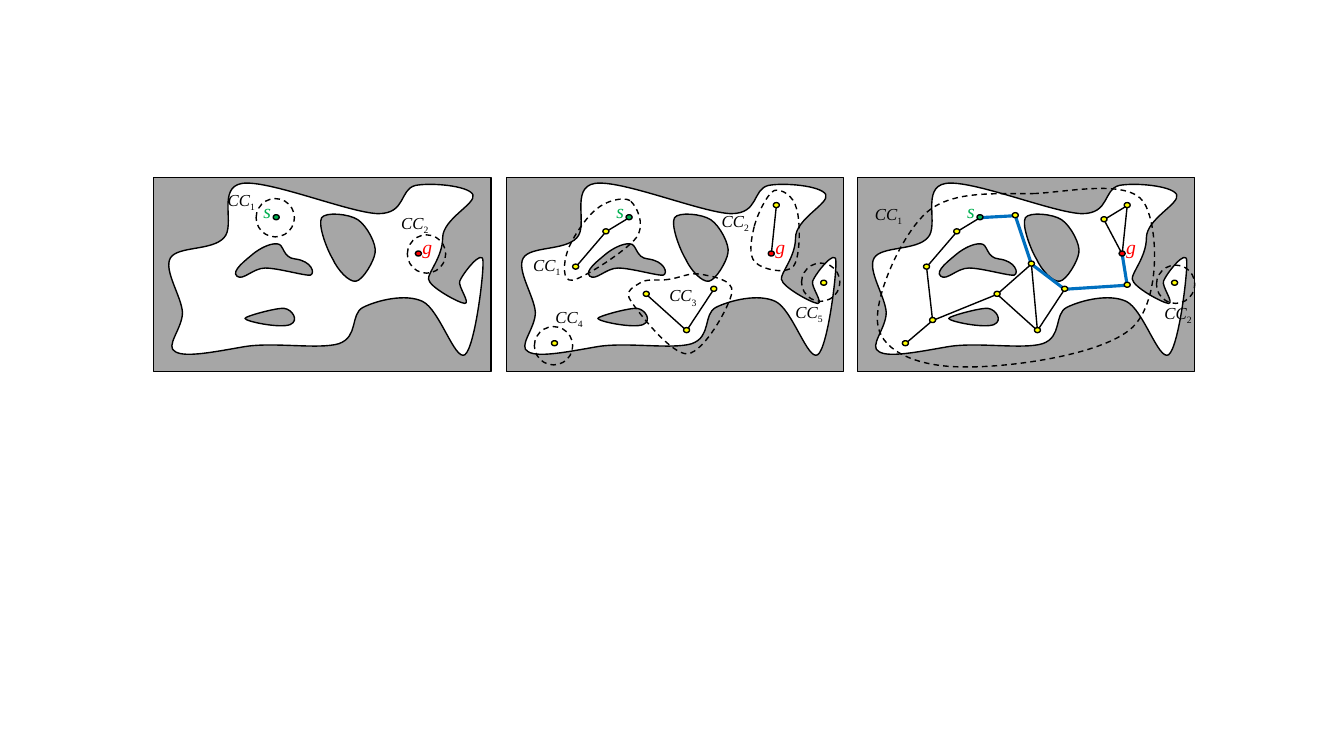
import pptx
import pptx.dml.color
import pptx.enum.dml
import pptx.enum.shapes
import pptx.enum.text
import pptx.oxml.ns
import pptx.util
from lxml import etree

Inches = pptx.util.Inches
SHAPES = pptx.enum.shapes.MSO_SHAPE
GRAY, BLACK, WHITE = "A6A6A6", "000000", "FFFFFF"
GREEN, RED, YELLOW, BLUE = "00B050", "FF0000", "FFFF00", "0070C0"

FREE_SPACE = [
    (1.81, 3.1), (1.8, 2.94), (1.62, 2.68), (1.69, 2.56), (1.76, 2.44), (2.1, 2.49), (2.22, 2.36),
    (2.34, 2.24), (2.15, 1.86), (2.4, 1.82), (2.66, 1.78), (3.46, 2.11), (3.75, 2.12),
    (4.03, 2.12), (3.96, 1.88), (4.12, 1.84), (4.27, 1.81), (4.64, 1.84), (4.69, 1.93),
    (4.73, 2.02), (4.39, 2.17), (4.39, 2.36), (4.39, 2.55), (4.24, 2.71), (4.25, 2.77),
    (4.26, 2.85), (4.56, 3.01), (4.61, 3.01), (4.67, 3.01), (4.54, 2.84), (4.56, 2.79),
    (4.59, 2.71), (4.79, 2.46), (4.79, 2.59), (4.8, 2.71), (4.71, 3.45), (4.61, 3.52),
    (4.51, 3.58), (4.36, 3.07), (4.19, 2.99), (4.02, 2.91), (3.74, 2.98), (3.6, 3.05),
    (3.47, 3.12), (3.56, 3.34), (3.36, 3.41), (3.16, 3.47), (2.71, 3.39), (2.42, 3.44),
    (2.13, 3.49), (1.84, 3.55), (1.74, 3.49), (1.63, 3.44), (1.81, 3.26), (1.81, 3.1)]
OBSTACLES = [
    [(3.19, 2.16), (3.15, 2.23), (3.24, 2.47), (3.3, 2.57), (3.35, 2.68), (3.46, 2.8), (3.53, 2.79),
     (3.6, 2.78), (3.71, 2.59), (3.72, 2.51), (3.74, 2.43), (3.64, 2.24), (3.55, 2.18),
     (3.46, 2.12), (3.23, 2.1), (3.19, 2.16)],
    [(2.51, 2.52), (2.44, 2.58), (2.29, 2.69), (2.35, 2.74), (2.41, 2.79), (2.51, 2.66), (2.63, 2.66),
     (2.76, 2.66), (3.03, 2.74), (3.08, 2.73), (3.13, 2.71), (3.09, 2.59), (2.93, 2.57),
     (2.8, 2.56), (2.82, 2.42), (2.75, 2.42), (2.68, 2.41), (2.57, 2.47), (2.51, 2.52)],
    [(2.43, 3.16), (2.44, 3.19), (2.78, 3.26), (2.88, 3.22), (2.97, 3.18), (2.9, 3.07), (2.82, 3.06),
     (2.75, 3.05), (2.42, 3.14), (2.43, 3.16)]]
COMPONENT_LOOPS = [
    [(6.25, 1.99), (6.18, 1.95), (6.01, 1.99), (5.91, 2.08), (5.81, 2.16), (5.67, 2.37), (5.63, 2.49),
     (5.59, 2.6), (5.57, 2.8), (5.68, 2.78), (5.79, 2.76), (6.21, 2.49), (6.31, 2.36),
     (6.41, 2.22), (6.31, 2.04), (6.25, 1.99)],
    [(6.64, 2.77), (6.54, 2.79), (6.43, 2.76), (6.36, 2.8), (6.3, 2.84), (6.18, 2.88), (6.26, 2.99),
     (6.34, 3.11), (6.66, 3.52), (6.82, 3.51), (6.99, 3.49), (7.24, 3.03), (7.26, 2.9),
     (7.28, 2.77), (7.05, 2.74), (6.95, 2.72), (6.84, 2.7), (6.73, 2.76), (6.64, 2.77)],
    [(7.48, 2.25), (7.45, 2.37), (7.42, 2.54), (7.49, 2.6), (7.55, 2.67), (7.8, 2.73), (7.87, 2.64),
     (7.94, 2.55), (7.94, 2.19), (7.9, 2.07), (7.87, 1.94), (7.75, 1.87), (7.68, 1.89),
     (7.61, 1.92), (7.51, 2.13), (7.48, 2.25)],
    [(10.27, 1.92), (9.91, 1.93), (9.46, 1.88), (9.2, 2.1), (8.94, 2.32), (8.65, 2.98), (8.71, 3.24),
     (8.76, 3.5), (9.13, 3.64), (9.55, 3.64), (9.97, 3.65), (10.93, 3.53), (11.23, 3.25),
     (11.52, 2.98), (11.49, 2.22), (11.34, 2), (11.18, 1.78), (10.62, 1.9), (10.27, 1.92)]]
COMPONENT_CIRCLES = [(2.54, 1.97), (4.04, 2.33), (5.3, 3.24), (7.95, 2.61), (11.47, 2.63)]
COMPONENT_LABELS = [
    ("1", 2.16, 1.83), ("2", 3.88, 2.06), ("1", 5.19, 2.48), ("2", 7.06, 2.04), ("3", 6.54, 2.78),
    ("4", 5.41, 2.99), ("5", 7.79, 2.94), ("1", 8.58, 1.97), ("2", 11.45, 2.95)]

START, GOAL = (2.74, 2.16), (4.15, 2.52)
MILESTONES = {
    "crest": (3.09, 2.14), "middle": (3.25, 2.62), "ridge": (2.51, 2.3), "hub": (2.91, 2.92),
    "west": (2.21, 2.65), "south": (3.31, 3.28), "bend": (2.27, 3.18), "east": (3.58, 2.87),
    "lobe": (3.97, 2.18), "north": (4.2, 2.04), "cave": (4.67, 2.81), "shore": (4.2, 2.83),
    "corner": (2, 3.41)}
PANELS = [
    (0, [], [], []),
    (3.5, ["west ridge start", "goal north", "east south", "hub south"], [],
     "hub west south east north cave corner ridge".split()),
    (6.98, ["hub bend west ridge start", "goal north", "east south middle", "north lobe goal",
            "middle hub south", "bend corner"],
     ["start crest middle east shore goal"], list(MILESTONES))]


def color(value):
    """Turn a hex string into a colour."""
    return pptx.dml.color.RGBColor.from_string(value)


def style(shape, fill=None, line=BLACK, width=1, dashed=False):
    """Set fill and outline and remove the shadow."""
    shape.shadow.inherit = False
    if fill:
        shape.fill.solid()
        shape.fill.fore_color.rgb = color(fill)
    else:
        shape.fill.background()
    shape.line.color.rgb = color(line)
    shape.line.width = pptx.util.Pt(width)
    if dashed:
        shape.line.dash_style = pptx.enum.dml.MSO_LINE.DASH


def add_preset(slide, kind, box, **look):
    """Add a styled preset shape in a box given in inches."""
    style(slide.shapes.add_shape(kind, *map(Inches, box)), **look)


def add_polyline(slide, points, closed=False):
    """Add a freeform through points given in inches."""
    corners = [(Inches(x), Inches(y)) for x, y in points]
    builder = slide.shapes.build_freeform(*corners[0])
    builder.add_line_segments(corners[1:], close=closed)
    return builder.convert_to_shape()


def bezier(knots, t):
    """Return the point at t on a cubic curve."""
    weights = ((1 - t) ** 3, 3 * t * (1 - t) ** 2, 3 * t * t * (1 - t), t ** 3)
    return tuple(sum(w * knot[axis] for w, knot in zip(weights, knots)) for axis in (0, 1))


def add_outline(slide, knots, offset=0, **look):
    """Add a closed outline of cubic curves, sized to its true extent."""
    knots = [(x + offset, y) for x, y in knots]
    starts = range(0, len(knots) - 1, 3)
    samples = [bezier(knots[i:i + 4], step / 20) for i in starts for step in range(20)]
    shape = add_polyline(slide, samples, closed=True)
    qn = pptx.oxml.ns.qn
    geometry = next(shape._element.iter(qn("a:path")))
    for child in list(geometry):
        geometry.remove(child)
    pieces = [("a:moveTo", knots[:1])] + [("a:cubicBezTo", knots[i + 1:i + 4]) for i in starts]
    for tag, points in pieces + [("a:close", [])]:
        command = etree.SubElement(geometry, qn(tag))
        for x, y in points:
            etree.SubElement(command, qn("a:pt"), x=str(Inches(x) - shape.left),
                             y=str(Inches(y) - shape.top))
    style(shape, **look)


def add_dot(slide, center, offset, fill):
    """Add a small node centred on a point."""
    add_preset(slide, SHAPES.OVAL, (center[0] + offset - 0.03, center[1] - 0.03, 0.06, 0.05), fill=fill)


def add_text(slide, text, box, size, text_color, wrap):
    """Add an italic text box and return its frame."""
    frame = slide.shapes.add_textbox(*map(Inches, box)).text_frame
    frame.word_wrap = wrap
    frame.text = text
    font = frame.paragraphs[0].runs[0].font
    font.name, font.size, font.italic = "Times New Roman", pptx.util.Pt(size), True
    font.color.rgb = color(text_color)
    return frame


def add_endpoint_label(slide, text, box, text_color, alignment):
    """Add the letter beside the start or goal."""
    frame = add_text(slide, text, box, 14, text_color, False)
    frame.margin_left = frame.margin_right = Inches(0.07)
    frame.margin_top = frame.margin_bottom = Inches(0.03)
    frame.paragraphs[0].alignment = alignment


def add_component_label(slide, number, left, top):
    """Add CC with its subscript number."""
    frame = add_text(slide, "CC", (left, top, 0.63, 0.3), 12, BLACK, True)
    run = frame.paragraphs[0].add_run()
    run.text = number
    run.font.name, run.font.size, run.font.italic = "Times New Roman", pptx.util.Pt(12), False
    run.font.color.rgb = color(BLACK)
    run.font._element.set("baseline", "-25000")


def add_panel(slide, offset, edges, route, milestones):
    """Draw the workspace with its roadmap, start and goal."""
    add_preset(slide, SHAPES.RECTANGLE, (1.52 + offset, 1.76, 3.35, 1.93), fill=GRAY, width=0.75)
    add_outline(slide, FREE_SPACE, offset, fill=WHITE)
    for obstacle in OBSTACLES:
        add_outline(slide, obstacle, offset, fill=GRAY)
    places = dict(MILESTONES, start=START, goal=GOAL)
    for chains, line, width in ((route, BLUE, 2.25), (edges, BLACK, 1)):
        for chain in chains:
            points = [(places[name][0] + offset, places[name][1]) for name in chain.split()]
            style(add_polyline(slide, points), line=line, width=width)
    for name in milestones:
        add_dot(slide, MILESTONES[name], offset, YELLOW)
    align = pptx.enum.text.PP_ALIGN
    add_dot(slide, START, offset, GREEN)
    add_endpoint_label(slide, "s", (2.54 + offset, 1.94, 0.22, 0.27), GREEN, align.CENTER)
    add_dot(slide, GOAL, offset, RED)
    add_endpoint_label(slide, "g", (4.12 + offset, 2.3, 0.25, 0.27), RED, align.LEFT)


def main():
    """Build the slide and save it."""
    presentation = pptx.Presentation()
    presentation.slide_width, presentation.slide_height = Inches(13.33), Inches(7.5)
    slide = presentation.slides.add_slide(presentation.slide_layouts[6])
    for panel in PANELS:
        add_panel(slide, *panel)
    for loop in COMPONENT_LOOPS:
        add_outline(slide, loop, dashed=True)
    for left, top in COMPONENT_CIRCLES:
        add_preset(slide, SHAPES.OVAL, (left, top, 0.38, 0.38), dashed=True)
    for label in COMPONENT_LABELS:
        add_component_label(slide, *label)
    presentation.save("out.pptx")


main()
